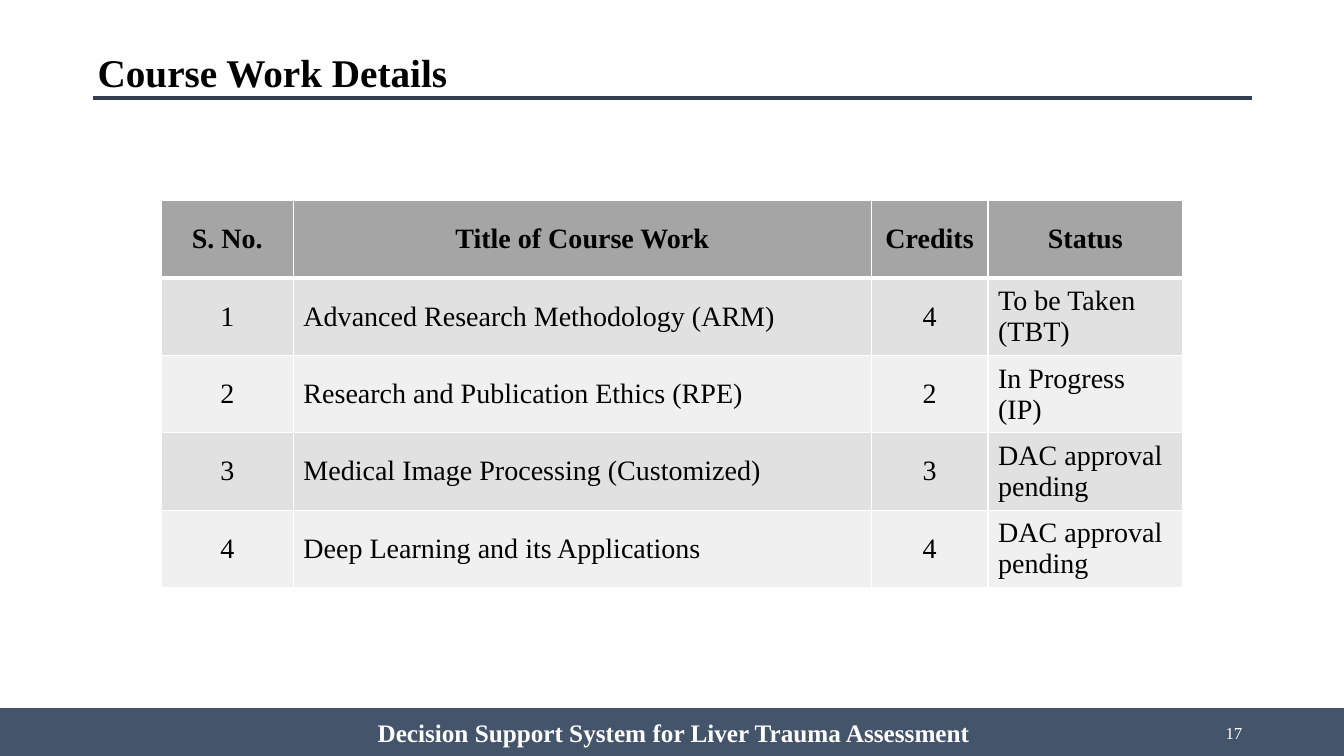
from lxml.etree import SubElement
from pptx import Presentation
from pptx.dml.color import RGBColor
from pptx.enum.shapes import MSO_CONNECTOR as Connector, MSO_SHAPE as Shape
from pptx.enum.text import MSO_ANCHOR as Anchor, PP_ALIGN as Align
from pptx.oxml import parse_xml
from pptx.oxml.ns import nsdecls, qn
from pptx.util import Inches, Pt

FONT = "Times New Roman"
BLACK = RGBColor(0x00, 0x00, 0x00)
WHITE = RGBColor(0xFF, 0xFF, 0xFF)
NAVY = RGBColor(0x33, 0x3F, 0x50)
SLATE = RGBColor(0x44, 0x54, 0x6A)
HEADER_GRAY = RGBColor(0xA5, 0xA5, 0xA5)
BAND_GRAYS = [RGBColor(0xE1, 0xE1, 0xE1), RGBColor(0xF0, 0xF0, 0xF0)]

PAGE_WIDTH, PAGE_HEIGHT = 13.33, 7.5
FOOTER_HEIGHT = 0.47
COLUMN_WIDTHS = [1.31, 5.73, 1.16, 1.93]
COLUMN_ALIGNS = [Align.CENTER, Align.LEFT, Align.CENTER, Align.LEFT]
COURSES = [
    ("S. No.", "Title of Course Work", "Credits", "Status"),
    ("1", "Advanced Research Methodology (ARM)", "4", "To be Taken (TBT)"),
    ("2", "Research and Publication Ethics (RPE)", "2", "In Progress (IP)"),
    ("3", "Medical Image Processing (Customized)", "3", "DAC approval pending"),
    ("4", "Deep Learning and its Applications", "4", "DAC approval pending"),
]


def write(frame, text, size, color, bold=False, align=Align.LEFT):
    para = frame.paragraphs[0]
    para.text = text
    para.alignment = align
    font = para.font
    font.name, font.size, font.bold = FONT, Pt(size), bold
    font.color.rgb = color


def add_label(page, box, text, size, color, bold=False, align=Align.LEFT, anchor=Anchor.MIDDLE):
    frame = page.shapes.add_textbox(*map(Inches, box)).text_frame
    frame.word_wrap = True
    frame.vertical_anchor = anchor
    write(frame, text, size, color, bold, align)


def add_heading(page, left, top, width, text):
    add_label(page, (left - 0.05, top, 6.67, 0.57), text, 28, BLACK, True, anchor=Anchor.TOP)
    rule_y = top + 0.54
    rule = page.shapes.add_connector(
        Connector.STRAIGHT, *map(Inches, (left, rule_y, left + width, rule_y)))
    rule.line.color.rgb = NAVY
    rule.line.width = Pt(3)
    SubElement(rule._element.spPr, qn("a:effectLst"))


def set_borders(cell, bottom_width):
    properties = cell._tc.get_or_add_tcPr()
    widths = {"lnL": 1, "lnR": 1, "lnT": 1, "lnB": bottom_width}
    for position, (side, width) in enumerate(widths.items()):
        properties.insert(position, parse_xml(
            f'<a:{side} {nsdecls("a")} w="{Pt(width)}"><a:solidFill>'
            f'<a:srgbClr val="{WHITE}"/></a:solidFill></a:{side}>'))


def add_course_table(page, left, top, width, height):
    shape = page.shapes.add_table(
        len(COURSES), len(COLUMN_WIDTHS), *map(Inches, (left, top, width, height)))
    table = shape.table
    for column, column_width in zip(table.columns, COLUMN_WIDTHS):
        column.width = Inches(column_width)
    for row_index, course in enumerate(COURSES):
        is_header = row_index == 0
        table.rows[row_index].height = Inches(height / len(COURSES))
        for column_index, text in enumerate(course):
            cell = table.cell(row_index, column_index)
            cell.vertical_anchor = Anchor.MIDDLE
            cell.fill.solid()
            cell.fill.fore_color.rgb = HEADER_GRAY if is_header else BAND_GRAYS[(row_index - 1) % 2]
            set_borders(cell, 3 if is_header else 1)
            align = Align.CENTER if is_header else COLUMN_ALIGNS[column_index]
            write(cell.text_frame, text, 20, BLACK, is_header, align)


def add_footer(page, left, top, width, height, title, number):
    bar = page.shapes.add_shape(Shape.RECTANGLE, *map(Inches, (left, top, width, height)))
    bar.shadow.inherit = False
    bar.fill.solid()
    bar.fill.fore_color.rgb = SLATE
    bar.line.color.rgb = SLATE
    bar.line.width = Pt(1)
    label_top, label_height = top + 0.04, 0.4
    add_label(page, (left + 9.42, label_top, 3, label_height), number, 12, WHITE, align=Align.RIGHT)
    add_label(page, (left + 3.47, label_top, 6.42, label_height), title, 18, WHITE, True, Align.CENTER)


def main():
    deck = Presentation()
    deck.slide_width, deck.slide_height = Inches(PAGE_WIDTH), Inches(PAGE_HEIGHT)
    page = deck.slides.add_slide(deck.slide_layouts[6])
    add_heading(page, 0.92, 0.43, 11.5, "Course Work Details")
    table_width = sum(COLUMN_WIDTHS)
    add_course_table(page, (PAGE_WIDTH - table_width) / 2, 1.99, table_width, 3.84)
    add_footer(page, 0, PAGE_HEIGHT - FOOTER_HEIGHT, PAGE_WIDTH, FOOTER_HEIGHT,
               "Decision Support System for Liver Trauma Assessment", "17")
    deck.save("out.pptx")


if __name__ == "__main__":
    main()
